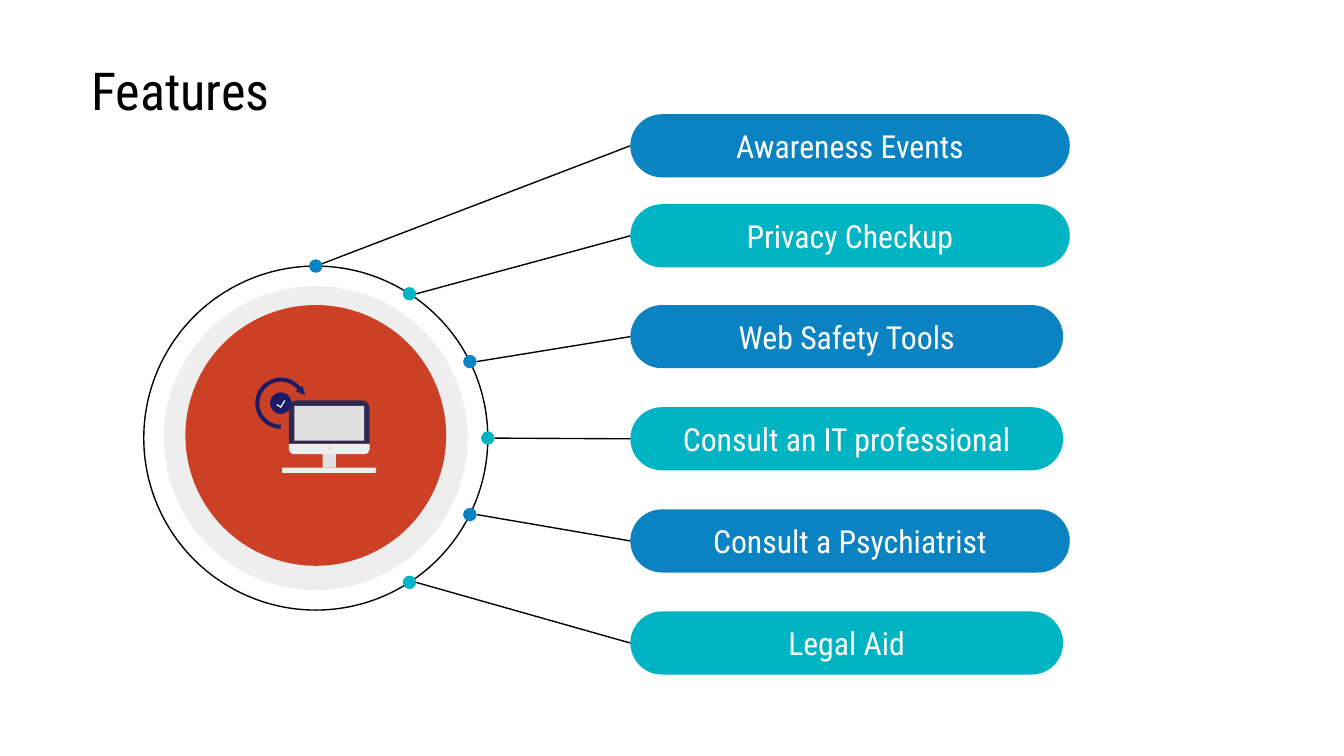
from math import cos, sin, radians
from lxml.etree import SubElement
from pptx import Presentation
from pptx.dml.color import RGBColor
from pptx.enum.shapes import MSO_CONNECTOR, MSO_SHAPE
from pptx.enum.text import MSO_ANCHOR, PP_ALIGN
from pptx.oxml.ns import qn
from pptx.util import Inches, Pt

BLACK = RGBColor(0x00, 0x00, 0x00)
WHITE = RGBColor(0xFF, 0xFF, 0xFF)
BLUE = RGBColor(0x0B, 0x83, 0xC2)
TEAL = RGBColor(0x01, 0xB4, 0xC4)
RED = RGBColor(0xCC, 0x41, 0x25)
PALE = RGBColor(0xEE, 0xEE, 0xEE)
GREY = RGBColor(0xE0, 0xE0, 0xE0)
DARK = RGBColor(0x2E, 0x29, 0x4E)
NAVY = RGBColor(0x1C, 0x1C, 0x66)
FONT = "Roboto Condensed"

TITLE = "Features"
# label, top, width, angle of its dot on the ring
ITEMS = [
    ("Awareness Events", 0.85, 3.27, -90),
    ("Privacy Checkup", 1.52, 3.27, -57),
    ("Web Safety Tools", 2.27, 3.22, -26.4),
    ("Consult an IT professional", 3.03, 3.22, 0),
    ("Consult a Psychiatrist", 3.79, 3.27, 26.4),
    ("Legal Aid", 4.55, 3.22, 57),
]
HUB = (2.35, 3.26)
RING = 1.28
PILL_X, PILL_H = 4.69, 0.47
DOT = 0.05

# shape, left, top, width, height, fill
SCREEN = [
    (MSO_SHAPE.ROUND_2_SAME_RECTANGLE, 2.15, 2.98, 0.6, 0.32, DARK),
    (MSO_SHAPE.RECTANGLE, 2.19, 3.02, 0.52, 0.26, GREY),
    (MSO_SHAPE.OVAL, 2.44, 3.32, 0.03, 0.03, GREY),
    (MSO_SHAPE.RECTANGLE, 2.4, 3.38, 0.1, 0.1, GREY),
    (MSO_SHAPE.RECTANGLE, 2.1, 3.48, 0.7, 0.04, PALE),
]
BADGE = (2.09, 3.0)
TIP = [(2.25, 2.87), (2.27, 2.94), (2.2, 2.91)]
TICK = [(2.06, 3.01), (2.09, 3.03), (2.12, 2.98)]

deck = Presentation()
deck.slide_width = Inches(10)
deck.slide_height = deck.slide_width * 9 // 16
slide = deck.slides.add_slide(deck.slide_layouts[6])
shapes = slide.shapes


def paint(shape, fill=None, line=None, weight=0.75):
    shape.shadow.inherit = False
    if fill is None:
        shape.fill.background()
    else:
        shape.fill.solid()
        shape.fill.fore_color.rgb = fill
    if line is None:
        shape.line.fill.background()
    else:
        shape.line.color.rgb = line
        shape.line.width = Pt(weight)
    return shape


def add(kind, x, y, w, h, fill=None, line=None):
    box = [Inches(v) for v in (x, y, w, h)]
    return paint(shapes.add_shape(kind, *box), fill, line)


def disc(mid, r, fill=None, line=None):
    return add(MSO_SHAPE.OVAL, mid[0] - r, mid[1] - r, 2 * r, 2 * r, fill, line)


def polar(mid, r, angle):
    turn = radians(angle)
    return mid[0] + r * cos(turn), mid[1] + r * sin(turn)


def outline(points, close):
    spots = [(Inches(x), Inches(y)) for x, y in points]
    pen = shapes.build_freeform(*spots[0])
    pen.add_line_segments(spots[1:], close=close)
    return pen.convert_to_shape()


def write(shape, text, size, color, align):
    frame = shape.text_frame
    frame.text = text
    frame.word_wrap = True
    frame.vertical_anchor = MSO_ANCHOR.MIDDLE
    frame.margin_left = frame.margin_right = Inches(0.1)
    frame.margin_top = frame.margin_bottom = Inches(0.1)
    para = frame.paragraphs[0]
    para.alignment = align
    font = para.runs[0].font
    font.name, font.size, font.color.rgb = FONT, Pt(size), color


def link(pill, end):
    """Join the left side of a pill to a point on the ring."""
    x, y = Inches(end[0]), Inches(end[1])
    wire = shapes.add_connector(MSO_CONNECTOR.STRAIGHT, x, y, x, y)
    wire.begin_connect(pill, 1)
    wire.line.color.rgb = BLACK
    wire.line.width = Pt(0.75)
    SubElement(wire._element.spPr, qn("a:effectLst"))


# Hub
disc(HUB, RING, line=BLACK)
disc(HUB, 1.13, PALE)
disc((2.35, 3.24), 0.97, RED)

# Computer with a check badge inside a circular arrow
base = add(MSO_SHAPE.ROUND_2_SAME_RECTANGLE, 2.15, 3.3, 0.6, 0.08, PALE)
base.adjustments[0], base.adjustments[1] = 0, 0.5
for part in SCREEN:
    add(*part)
sweep = range(90, 322, 7)
outer = [polar(BADGE, 0.19, a) for a in sweep]
inner = [polar(BADGE, 0.16, a) for a in reversed(sweep)]
paint(outline(outer + TIP + inner, True), NAVY)
disc(BADGE, 0.08, NAVY)
paint(outline(TICK, False), line=WHITE, weight=0.61)

# Features
for i, (label, top, width, angle) in enumerate(ITEMS):
    color = TEAL if i % 2 else BLUE
    pill = add(MSO_SHAPE.ROUNDED_RECTANGLE, PILL_X, top, width, PILL_H, color)
    pill.adjustments[0] = 0.5
    write(pill, label, 17, WHITE, PP_ALIGN.CENTER)
    x, y = polar(HUB, RING, angle)
    link(pill, (x + DOT if i else x, y))
    disc((x, y), DOT, color)

title = shapes.add_textbox(Inches(0.58), Inches(0.4), Inches(1.69), Inches(0.53))
write(title, TITLE, 28, BLACK, PP_ALIGN.LEFT)

deck.save("out.pptx")
